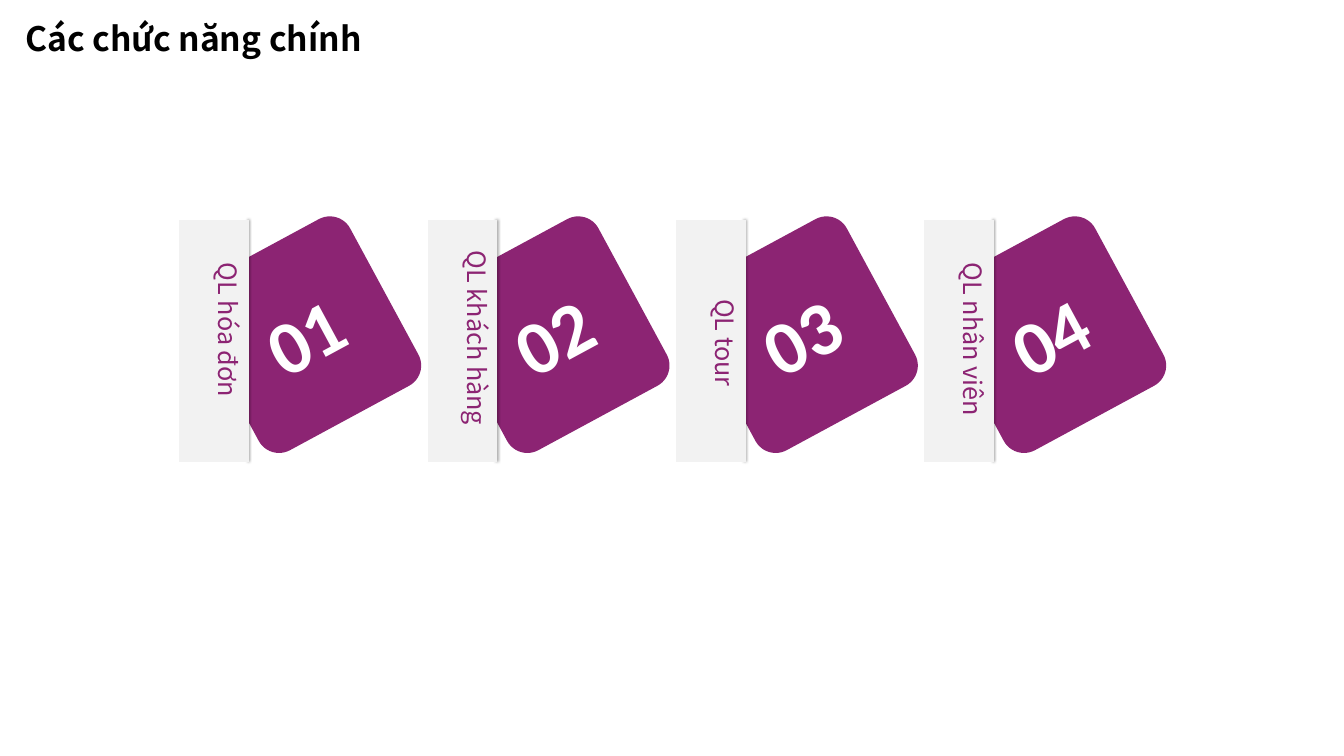
from lxml.etree import SubElement
from pptx import Presentation
from pptx.dml.color import RGBColor
from pptx.enum.shapes import MSO_CONNECTOR as Conn, MSO_SHAPE as Shape
from pptx.enum.text import MSO_ANCHOR as Anchor, MSO_AUTO_SIZE as Fit, PP_ALIGN as Align
from pptx.oxml.ns import qn
from pptx.util import Inches, Pt

COLORS = {"plum": "8C2473", "pale": "F2F2F2", "gray": "A6A6A6",
          "black": "000000", "white": "FFFFFF"}


def color(name):
    return RGBColor.from_string(COLORS[name])


def write(shape, text, size, ink, font="Noto Sans CJK SC", bold=False,
          align=Align.LEFT, anchor=Anchor.TOP, fit=Fit.SHAPE_TO_FIT_TEXT):
    frame = shape.text_frame
    frame.word_wrap = True
    frame.auto_size = fit
    frame.vertical_anchor = anchor
    para = frame.paragraphs[0]
    para.alignment = align
    run = para.add_run()
    run.text = text
    run.font.name = font
    run.font.size = Pt(size)
    run.font.bold = bold
    run.font.color.rgb = color(ink)


class Page:
    def __init__(self, deck):
        self.slide = deck.slides.add_slide(deck.slide_layouts[5])
        self.shapes = self.slide.shapes

    def title(self, text, x, y, w, h):
        head = self.shapes.title
        head.left, head.top, head.width, head.height = map(Inches, (x, y, w, h))
        write(head, text, 24, "black", bold=True)

    def block(self, kind, x, y, w, h, fill):
        item = self.shapes.add_shape(kind, *map(Inches, (x, y, w, h)))
        item.shadow.inherit = False
        item.fill.solid()
        item.fill.fore_color.rgb = color(fill)
        item.line.fill.background()
        return item

    def tile(self, text, x, y):
        item = self.block(Shape.ROUNDED_RECTANGLE, x, y, 1.8, 1.88, "plum")
        item.adjustments[0] = 0.127
        item.rotation = 331.6
        write(item, text, 54, "white", font="Calibri", bold=True,
              align=Align.CENTER, anchor=Anchor.MIDDLE, fit=Fit.NONE)

    def edge(self, x, top, end):
        line = self.shapes.add_connector(
            Conn.STRAIGHT, *map(Inches, (x, top, x, end)))
        line.line.color.rgb = color("gray")
        line.line.width = Pt(0.75)
        # Soft shadow to the right
        props = line._element.spPr
        glow = SubElement(SubElement(props, qn("a:effectLst")), qn("a:outerShdw"),
                          blurRad=str(Pt(2)), dist=str(Pt(1)), dir="0",
                          algn="l", rotWithShape="0")
        SubElement(glow, qn("a:srgbClr"), val=COLORS["black"])

    def label(self, text, x, y, h, align):
        box = self.shapes.add_textbox(*map(Inches, (x, y, 0.5, h)))
        write(box, text, 18, "plum", align=align)
        box.text_frame._txBody.bodyPr.set("vert", "eaVert")


def main():
    deck = Presentation()
    deck.slide_width, deck.slide_height = Inches(13.33), Inches(7.5)
    page = Page(deck)
    page.title("Các chức năng chính", 0.15, 0.13, 4.76, 0.5)

    # Cards: label, label top, label height, alignment
    cards = [("QL hóa đơn", 2.51, 1.63, Align.CENTER),
             ("QL khách hàng", 2.39, 2.85, Align.LEFT),
             ("QL tour", 2.87, 2.59, Align.LEFT),
             ("QL nhân viên", 2.51, 2.67, Align.LEFT)]
    left, step, top, tall = 1.78, 2.463, 2.18, 2.4
    for i, (text, y, h, align) in enumerate(cards):
        x = left + i * step
        page.tile(f"{i + 1:02}", x + 0.34, 2.38)
        page.edge(x + 0.67, top, top + tall)
        page.block(Shape.FLOWCHART_PROCESS, x, top, 0.69, tall, "pale")
        page.label(text, x + 0.19, y, h, align)

    deck.save("out.pptx")


if __name__ == "__main__":
    main()
